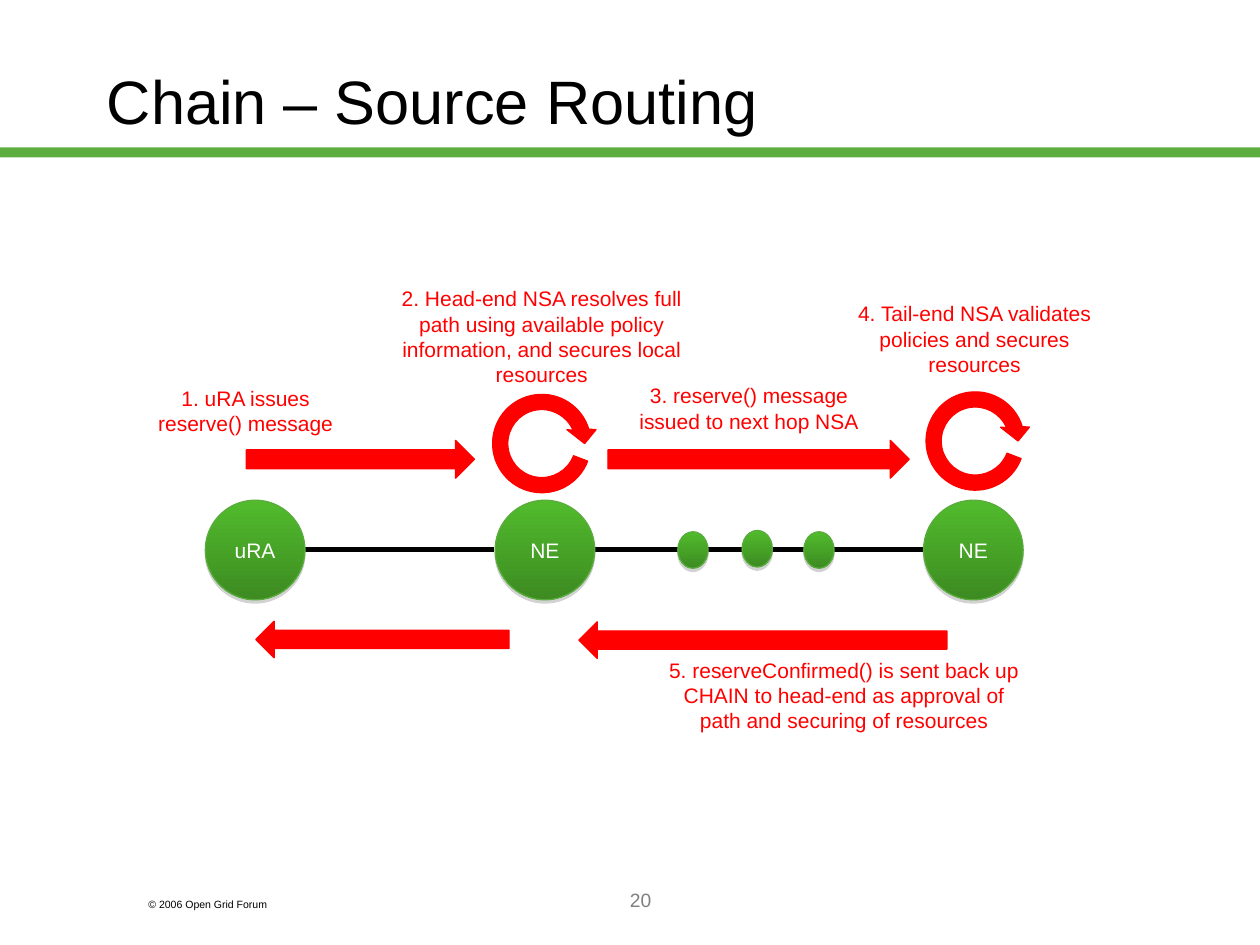
from math import cos, radians, sin, tan

from lxml import etree
from pptx import Presentation
from pptx.dml.color import RGBColor
from pptx.enum.shapes import MSO_CONNECTOR, MSO_SHAPE
from pptx.enum.text import MSO_ANCHOR as Anchor, PP_ALIGN as Align
from pptx.oxml.ns import qn
from pptx.util import Inches, Pt

WHITE = RGBColor(0xFF, 0xFF, 0xFF)
BLACK = RGBColor(0x00, 0x00, 0x00)
GRAY = RGBColor(0x80, 0x80, 0x80)
RED = RGBColor(0xFF, 0x00, 0x00)
BAND_GREEN = RGBColor(0x5D, 0xAD, 0x41)
EDGE_GREEN = RGBColor(0x59, 0xAC, 0x3D)
LIGHT_GREEN = RGBColor(0x51, 0xBB, 0x2D)
DARK_GREEN = RGBColor(0x3D, 0x8B, 0x21)

NODE_SIZE = 0.79
NODE_TOP = 3.97
LINK_Y = 4.36
ARC_PARTS = 4
RIGHTWARD, LEFTWARD = 270, 90

STEPS = [
    ("1. uRA issues reserve() message", (1.03, 3.01, 1.84, 0.5)),
    ("2. Head-end NSA resolves full path using available policy information, "
     "and secures local resources", (2.93, 2.22, 2.74, 0.9)),
    ("3. reserve() message issued to next hop NSA", (4.97, 2.99, 1.95, 0.5)),
    ("4. Tail-end NSA validates policies and secures resources",
     (6.66, 2.34, 2.15, 0.7)),
    ("5. reserveConfirmed() is sent back up CHAIN to head-end as approval of "
     "path and securing of resources", (5.15, 5.17, 3.1, 0.7)),
]
ARROWS = [
    (RIGHTWARD, (2.71, 2.74, 0.3, 1.81)),
    (RIGHTWARD, (5.87, 2.45, 0.3, 2.39)),
    (LEFTWARD, (2.89, 4.07, 0.29, 2.01)),
    (LEFTWARD, (5.91, 3.62, 0.29, 2.92)),
]
LOOP_CENTERS = [(4.3, 3.52), (7.74, 3.5)]
NODES = [("uRA", 1.63), ("NE", 3.93), ("NE", 7.33)]
HOPS = [(5.38, 4.22), (5.89, 4.21), (6.38, 4.22)]
LINKS = [(2.42, 3.92), (4.71, 7.33)]


def write_text(shape, text, size, color, align=Align.CENTER, anchor=Anchor.TOP):
    """Fill the shape with one formatted paragraph."""
    frame = shape.text_frame
    frame.word_wrap = True
    frame.vertical_anchor = anchor
    para = frame.paragraphs[0]
    para.alignment = align
    span = para.add_run()
    span.text = text
    for name, value in {"name": "Arial", "size": Pt(size)}.items():
        setattr(span.font, name, value)
    span.font.color.rgb = color


def add_text(page, box, text, size, color, **layout):
    """Add a wrapped text box."""
    shape = page.shapes.add_textbox(*map(Inches, box))
    write_text(shape, text, size, color, **layout)


def paint(shape, color):
    """Give the shape one color for fill and thin line."""
    shape.shadow.inherit = False
    shape.fill.solid()
    shape.fill.fore_color.rgb = color
    shape.line.color.rgb = color
    shape.line.width = Pt(0.75)


def add_ball(page, box):
    """Add a green gradient ellipse with a drop shadow."""
    ball = page.shapes.add_shape(MSO_SHAPE.OVAL, *map(Inches, box))
    ball.fill.gradient()
    ball.fill.gradient_angle = 270
    for stop, color, place in zip(ball.fill.gradient_stops,
                                  (LIGHT_GREEN, DARK_GREEN), (0, 1)):
        stop.color.rgb = color
        stop.position = place
    ball.line.color.rgb = EDGE_GREEN
    ball.line.width = Pt(0.75)
    ball.shadow.inherit = False
    effects = ball._element.spPr.find(qn("a:effectLst"))
    shadow = etree.SubElement(effects, qn("a:outerShdw"), blurRad="0",
                              dist=str(Pt(1.8)), dir="5400000", rotWithShape="0")
    tint = etree.SubElement(shadow, qn("a:srgbClr"), val=str(GRAY))
    etree.SubElement(tint, qn("a:alpha"), val="35000")
    return ball


def add_link(page, start, end):
    """Add a thick horizontal line between two nodes."""
    link = page.shapes.add_connector(
        MSO_CONNECTOR.STRAIGHT, *map(Inches, (start, LINK_Y, end, LINK_Y)))
    link.line.color.rgb = BLACK
    link.line.width = Pt(2.75)
    etree.SubElement(link._element.spPr, qn("a:effectLst"))


def arc_points(radius, first, last):
    """Return the start and Bezier points of an arc in equal parts."""
    step = radians(last - first) / ARC_PARTS
    pull = 4 / 3 * tan(step / 4)
    angles = [radians(first) + step * part for part in range(ARC_PARTS + 1)]
    points = [(radius * cos(angles[0]), radius * sin(angles[0]))]
    for a, b in zip(angles, angles[1:]):
        points += [(radius * (cos(a) - pull * sin(a)), radius * (sin(a) + pull * cos(a))),
                   (radius * (cos(b) + pull * sin(b)), radius * (sin(b) - pull * cos(b))),
                   (radius * cos(b), radius * sin(b))]
    return points


def merge_curves(lines):
    """Turn each three successive line steps into one Bezier curve."""
    for start in range(0, len(lines), 3):
        curve = etree.Element(qn("a:cubicBezTo"))
        lines[start].addprevious(curve)
        for line in lines[start:start + 3]:
            curve.append(line[0])
            line.getparent().remove(line)


def add_loop(page, x, y):
    """Add a clockwise circular arrow around a center."""
    outer, inner = arc_points(0.39, 21, 343), arc_points(0.27, 337, 21)
    head = [(0.43, -0.11), (0.34, 0), (0.2, -0.11)]
    points = [(Inches(x + dx), Inches(y + dy)) for dx, dy in outer + head + inner]
    builder = page.shapes.build_freeform(*points[0])
    builder.add_line_segments(points[1:], close=True)
    loop = builder.convert_to_shape()
    lines = list(loop._element.iter(qn("a:lnTo")))
    count = 3 * ARC_PARTS
    skip = count + len(head) + 1
    merge_curves(lines[:count])
    merge_curves(lines[skip:skip + count])
    paint(loop, RED)


def add_frame(page):
    """Add the title, its band and the footer."""
    band = page.shapes.add_shape(MSO_SHAPE.RECTANGLE,
                                 *map(Inches, (0, 1.17, 10, 0.08)))
    paint(band, BAND_GREEN)
    band.line.fill.background()
    add_text(page, (1.08, 7.08, 1.5, 0.2), "© 2006 Open Grid Forum", 6, BLACK,
             align=Align.LEFT)
    add_text(page, (0.75, 0.17, 8.5, 1.25), "Chain – Source Routing", 35, BLACK,
             align=Align.LEFT, anchor=Anchor.MIDDLE)
    add_text(page, (2.17, 7, 5.83, 0.5), "20", 11, GRAY)


def add_chain(page):
    """Add the row of linked nodes and intermediate hops."""
    for start, end in LINKS:
        add_link(page, start, end)
    for label, left in NODES:
        node = add_ball(page, (left, NODE_TOP, NODE_SIZE, NODE_SIZE))
        write_text(node, label, 12, WHITE, anchor=Anchor.MIDDLE)
    for left, top in HOPS:
        add_ball(page, (left, top, 0.24, 0.29))


def add_messages(page):
    """Add the red arrows, loops and step captions."""
    for turn, box in ARROWS:
        arrow = page.shapes.add_shape(MSO_SHAPE.DOWN_ARROW, *map(Inches, box))
        arrow.rotation = turn
        paint(arrow, RED)
    for x, y in LOOP_CENTERS:
        add_loop(page, x, y)
    for text, box in STEPS:
        add_text(page, box, text, 12, RED)


def main():
    """Build and save the deck."""
    deck = Presentation()
    deck.slide_width, deck.slide_height = Inches(10), Inches(7.5)
    page = deck.slides.add_slide(deck.slide_layouts[6])
    add_frame(page)
    add_chain(page)
    add_messages(page)
    deck.save("out.pptx")


if __name__ == "__main__":
    main()
